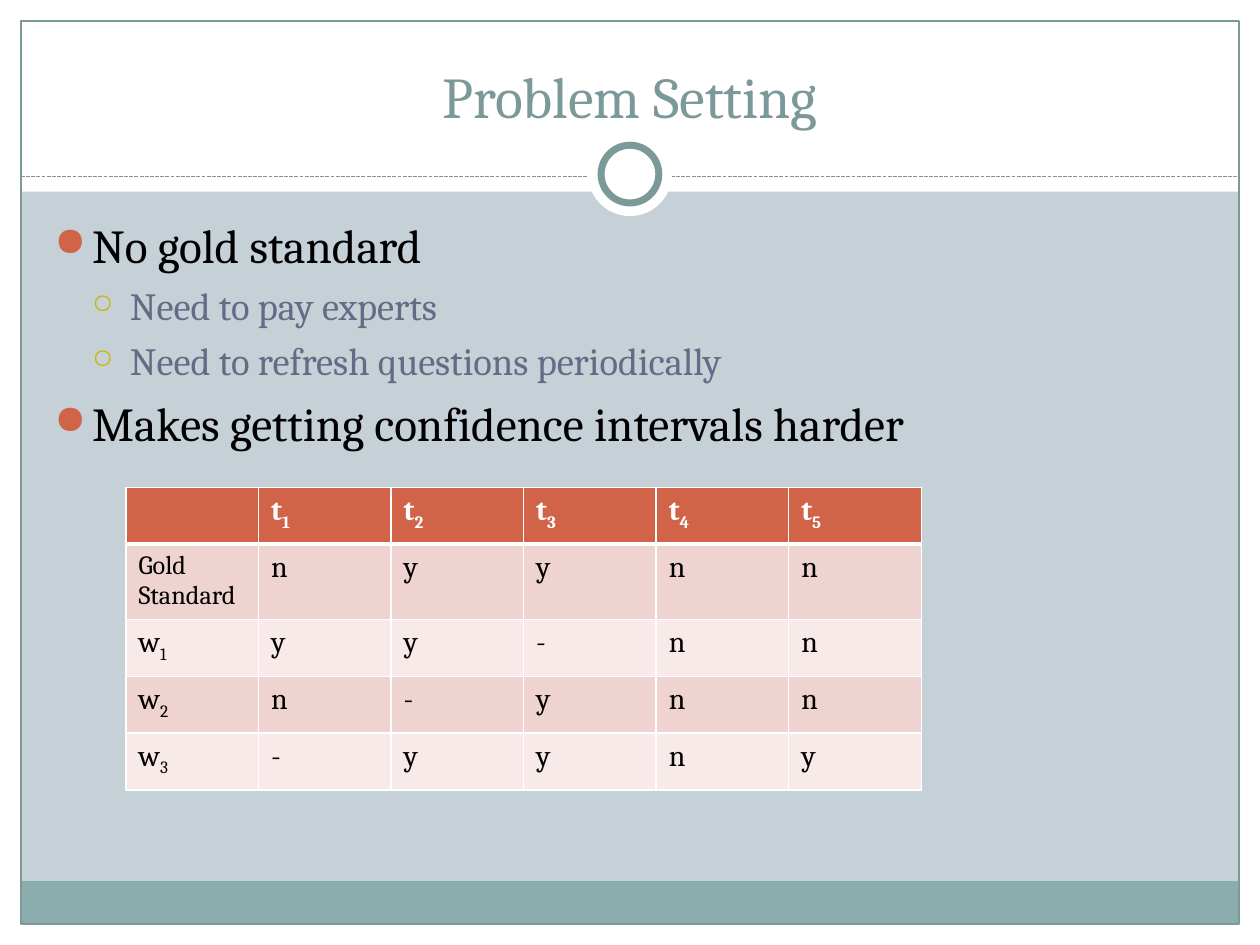
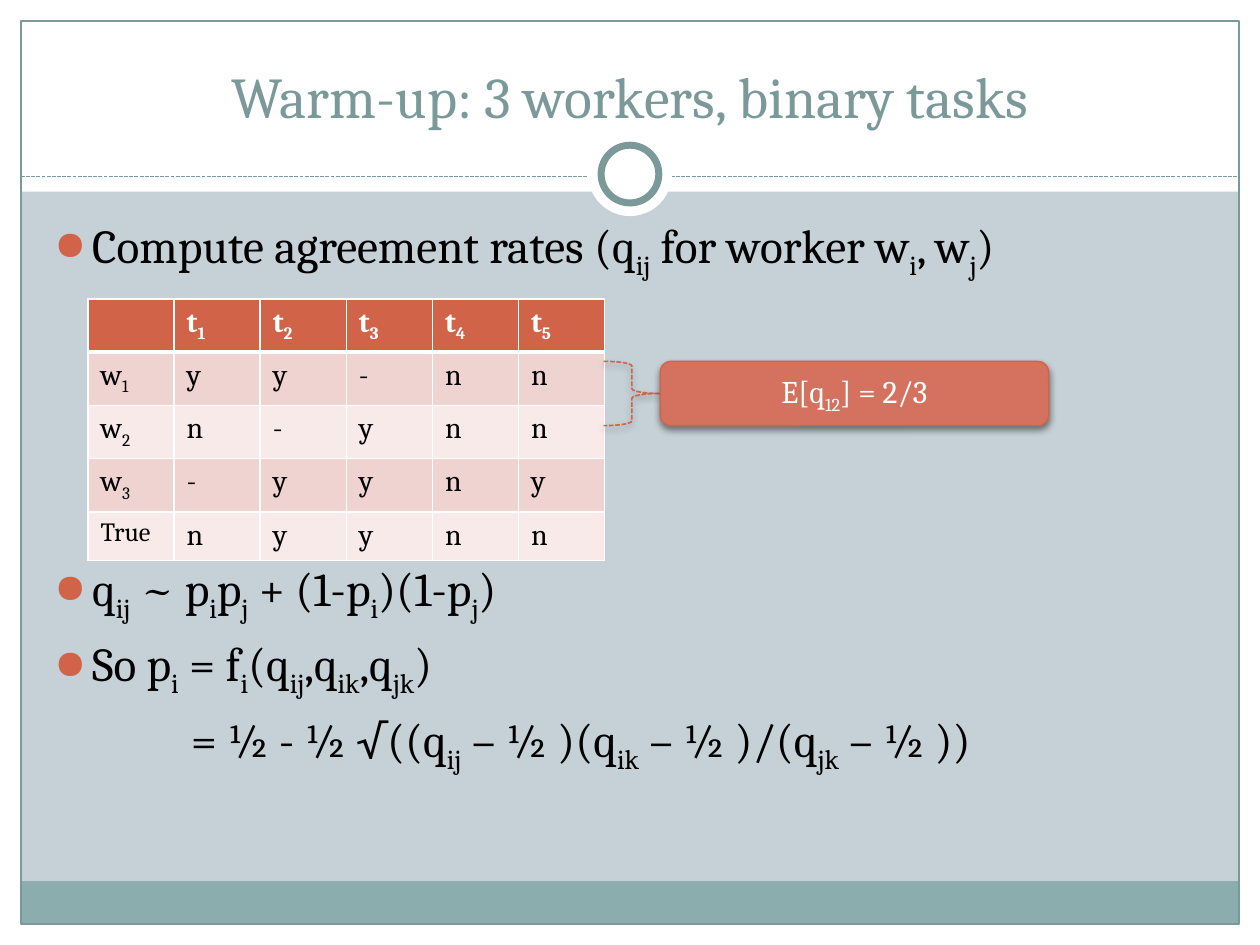
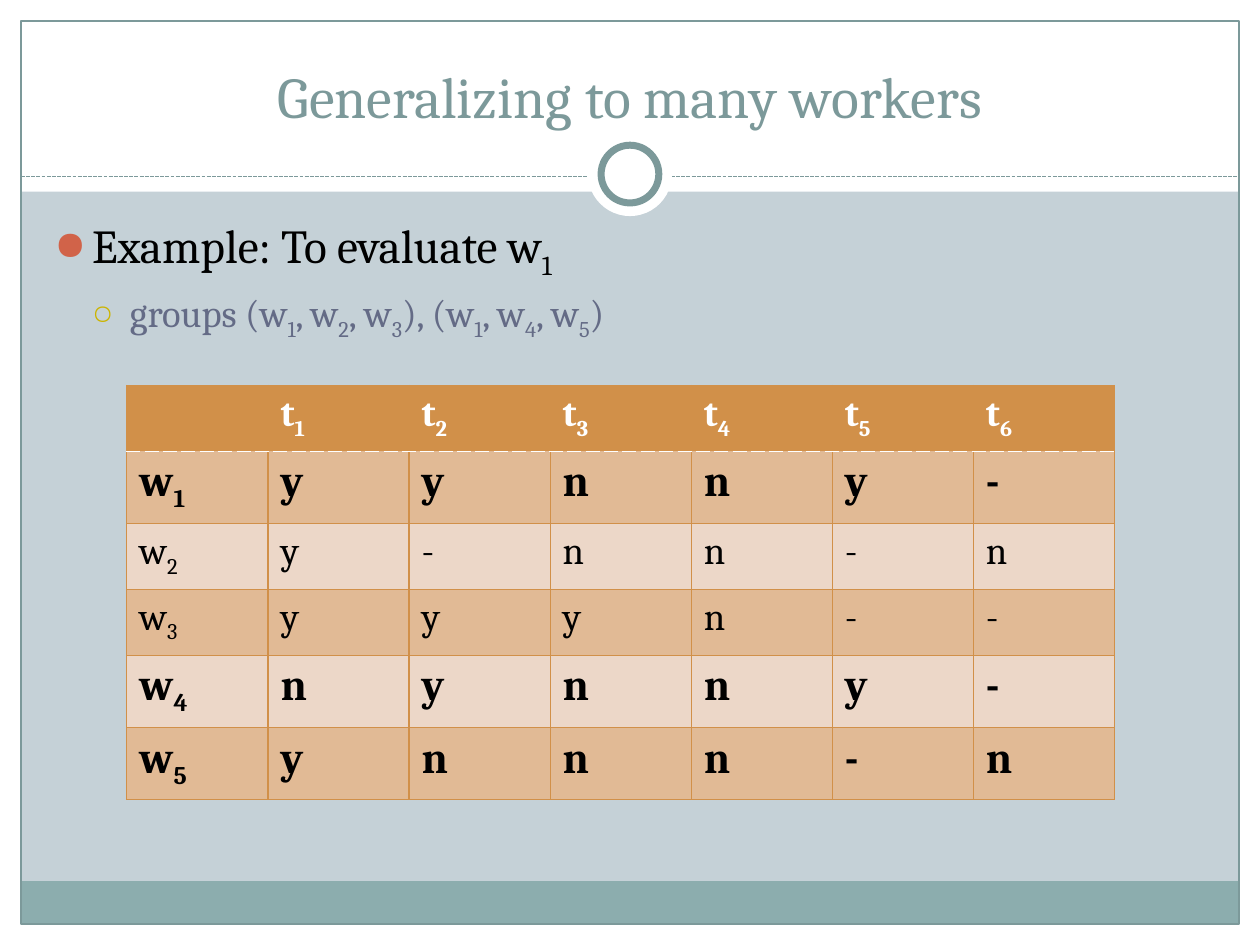
import dataclasses
import lxml.etree
import pptx
import pptx.dml.color
import pptx.enum.dml
import pptx.enum.shapes
import pptx.enum.text
import pptx.oxml.ns
import pptx.util

Pt = pptx.util.Pt
qn = pptx.oxml.ns.qn
Kind = pptx.enum.shapes.MSO_SHAPE
Align = pptx.enum.text.PP_ALIGN
Anchor = pptx.enum.text.MSO_ANCHOR
Dash = pptx.enum.dml.MSO_LINE


@dataclasses.dataclass(frozen=True)
class Theme:
    font: str = "Cambria"
    page: str = "C5D1D7"
    white: str = "FFFFFF"
    black: str = "000000"
    teal: str = "7C999A"
    band: str = "8CADAE"
    red: str = "D16349"
    call: str = "D4725F"
    slate: str = "646B86"
    gold: str = "CCB400"
    head: float = 33
    main: float = 27
    sub: float = 22
    note: float = 18
    label: float = 15


@dataclasses.dataclass(frozen=True)
class Look:
    head: str
    bands: tuple
    edge: str
    width: float
    rule: float
    dash: str
    size: float
    strong: float


THEME = Theme()
RED = Look(THEME.red, ("EED3D0", "F7EAE9"), THEME.white, 1, 3, "solid", 17, 17)
AMBER = Look("D19049", ("E1BA95", "ECD7C8"), "D19049", 0.75, 0.9, "sysDash", 22, 25)

# Bullet sign, colour, percent size, text size, text colour, indent
LEVELS = (
    ("●", THEME.red, 85, THEME.main, THEME.black, 21.6),
    ("○", THEME.gold, 70, THEME.sub, THEME.slate, 43.2),
)
HANG = 21.6
GAP = 0.23  # space before a paragraph, as a share of its type size


def rgb(code):
    return pptx.dml.color.RGBColor.from_string(code)


def node(parent, tag, **attrs):
    item = lxml.etree.SubElement(parent, qn(tag))
    for key, value in attrs.items():
        item.set(key, str(value))
    return item


# Text: parts between bars are set as subscripts
def write(para, text, size, color, bold=False):
    font = para.font
    font.name, font.size, font.bold = THEME.font, Pt(size), bold
    font.color.rgb = rgb(color)
    for i, part in enumerate(text.split("|")):
        if part:
            run = para.add_run()
            run.text = part
            if i % 2:
                run._r.get_or_add_rPr().set("baseline", "-25000")


def bullet(para, text, level=0, extra=0):
    sign, tint, scale, size, color, left = LEVELS[level]
    prop = para._p.get_or_add_pPr()
    prop.set("marL", str(Pt(left)))
    prop.set("indent", str(-Pt(HANG)))
    para.space_before = Pt(round(GAP * size + extra, 2))
    node(node(prop, "a:buClr"), "a:srgbClr", val=tint)
    node(prop, "a:buSzPct", val=scale * 1000)
    node(prop, "a:buChar", char=sign)
    write(para, text, size, color)


def body(slide):
    box = slide.shapes.add_textbox(Pt(24), Pt(120), Pt(669.6), Pt(360))
    box.text_frame.word_wrap = True
    return box.text_frame


def points(slide, items):
    frame = body(slide)
    for i, item in enumerate(items):
        bullet(frame.add_paragraph() if i else frame.paragraphs[0], *item)
    return frame


# Shapes
def shape(slide, kind, box, fill=None, line=None, width=0.75):
    item = slide.shapes.add_shape(kind, *map(Pt, box))
    item.shadow.inherit = False
    if fill:
        item.fill.solid()
        item.fill.fore_color.rgb = rgb(fill)
    else:
        item.fill.background()
    if line:
        item.line.color.rgb = rgb(line)
        item.line.width = Pt(width)
    else:
        item.line.fill.background()
    return item


def shade(item, alpha):
    list_ = item.element.spPr.find(qn("a:effectLst"))
    cast = node(list_, "a:outerShdw", blurRad=Pt(4), dist=Pt(2), dir=5400000, rotWithShape=0)
    node(node(cast, "a:srgbClr", val=THEME.black), "a:alpha", val=alpha * 1000)


# Tables
def edge(cell, side, color, width, dash="solid"):
    line = node(cell._tc.get_or_add_tcPr(), "a:ln" + side, w=Pt(width))
    node(node(line, "a:solidFill"), "a:srgbClr", val=color)
    node(line, "a:prstDash", val=dash)


def fill_cell(cell, text, row, col, look, strong):
    thin = (look.edge, look.width)
    rule = (THEME.white, look.rule, look.dash)
    for side in "LR":
        edge(cell, side, *thin)
    edge(cell, "T", *(rule if row == 1 else thin))
    edge(cell, "B", *(rule if row == 0 else thin))
    cell.fill.solid()
    cell.fill.fore_color.rgb = rgb(look.bands[(row - 1) % 2] if row else look.head)

    size = look.strong if strong else look.size
    if row and not col and "|" not in text:
        size = THEME.label
    frame = cell.text_frame
    for i, part in enumerate(text.split("\n")):
        para = frame.add_paragraph() if i else frame.paragraphs[0]
        write(para, part, size, THEME.black if row else THEME.white, strong or row == 0)


def votes(slide, left, top, width, height, rows, look, strong=()):
    tasks = len(rows[0][1])
    head = [""] + [f"t|{n}|" for n in range(1, tasks + 1)]
    grid = [head] + [[name, *marks] for name, marks in rows]
    box = map(Pt, (left, top, width, height * len(grid)))
    table = slide.shapes.add_table(len(grid), tasks + 1, *box).table
    table.first_row = table.horz_banding = False
    for col in table.columns:
        col.width = Pt(round(width / (tasks + 1), 2))
    for r, texts in enumerate(grid):
        table.rows[r].height = Pt(height)
        for c, text in enumerate(texts):
            fill_cell(table.cell(r, c), text, r, c, look, r in strong)


# Shared frame: drawn once, then moved to the layout
def dress(layout, slide):
    layout.background.fill.solid()
    layout.background.fill.fore_color.rgb = rgb(THEME.page)
    for item in list(layout.placeholders):
        if item.placeholder_format.idx:
            item.element.getparent().remove(item.element)

    margins = ((0, 528, 720, 12), (0, 0, 720, 109.5), (0, 0, 12, 540), (708, 0, 12, 540))
    parts = [shape(slide, Kind.RECTANGLE, box, THEME.white) for box in margins]
    parts.append(shape(slide, Kind.RECTANGLE, (11.75, 503.5, 696, 24.5), THEME.band))
    parts.append(shape(slide, Kind.RECTANGLE, (12, 12, 696, 516), None, THEME.teal))
    rule = slide.shapes.add_connector(
        pptx.enum.shapes.MSO_CONNECTOR.STRAIGHT, Pt(12), Pt(100.75), Pt(708), Pt(100.75))
    rule.line.color.rgb = rgb(THEME.teal)
    rule.line.width = Pt(0.75)
    rule.line.dash_style = Dash.SQUARE_DOT
    node(rule.element.spPr, "a:effectLst")
    parts.append(rule)
    parts.append(shape(slide, Kind.OVAL, (336, 75.5, 48, 48), THEME.white))
    parts.append(shape(slide, Kind.OVAL, (343.5, 83, 33, 33), THEME.white, THEME.teal, 4))
    for part in parts:
        layout.shapes.element.append(part.element)


def start(deck, text):
    slide = deck.slides.add_slide(deck.slide_layouts[5])
    title = slide.shapes.title
    title.left, title.top, title.width, title.height = map(Pt, (24, 18, 672, 60))
    title.text_frame.vertical_anchor = Anchor.BOTTOM
    para = title.text_frame.paragraphs[0]
    para.alignment = Align.CENTER
    write(para, text, THEME.head, THEME.teal)
    return slide


def setting(deck):
    slide = start(deck, "Problem Setting")
    dress(slide.slide_layout, slide)
    points(slide, [
        ("No gold standard",),
        ("Need to pay experts", 1),
        ("Need to refresh questions periodically", 1),
        ("Makes getting confidence intervals harder",),
    ])
    rows = [("Gold\nStandard", "nyynn"), ("w|1|", "yy-nn"), ("w|2|", "n-ynn"), ("w|3|", "-yyny")]
    votes(slide, 72, 278.5, 454.5, 32.4, rows, RED)


def warm_up(deck):
    slide = start(deck, "Warm-up: 3 workers, binary tasks")
    frame = points(slide, [
        ("Compute agreement rates (q|ij| for worker w|i|, w|j|)",),
        ("q|ij| ~ p|i|p|j| + (1-p|i|)(1-p|j|)", 0, 153),  # leaves room for the table
        ("So p|i| = f|i|(q|ij|,q|ik|,q|jk|)",),
    ])
    para = frame.add_paragraph()
    para._p.get_or_add_pPr().set("marL", str(Pt(78)))
    para.space_before = Pt(round(GAP * THEME.main, 2))
    write(para, "= ½ - ½ √((q|ij| – ½ )(q|ik| – ½ )/(q|jk| – ½ ))", THEME.main, THEME.black)

    rows = [("w|1|", "yy-nn"), ("w|2|", "n-ynn"), ("w|3|", "-yyny"), ("True", "nyynn")]
    votes(slide, 50.25, 170.75, 295.25, 26.65, rows, RED)

    # Callout for the first two workers
    brace = shape(slide, Kind.RIGHT_BRACE, (345, 206.5, 32.25, 36.75), None, THEME.red, 0.9)
    brace.line.dash_style = Dash.SQUARE_DOT
    shade(brace, 35)
    call = shape(slide, Kind.ROUNDED_RECTANGLE, (377.25, 206.5, 222, 36.75), THEME.call, THEME.red)
    shade(call, 45)
    call.text_frame.vertical_anchor = Anchor.MIDDLE
    para = call.text_frame.paragraphs[0]
    para.alignment = Align.CENTER
    write(para, "E[q|12|] = 2/3", THEME.note, THEME.white)


def many(deck):
    slide = start(deck, "Generalizing to many workers")
    points(slide, [
        ("Example: To evaluate w|1|",),
        ("groups (w|1|, w|2|, w|3|), (w|1|, w|4|, w|5|)", 1),
    ])
    marks = ("yynny-", "y-nn-n", "yyyn--", "nynny-", "ynnn-n")
    rows = [(f"w|{n}|", line) for n, line in enumerate(marks, 1)]
    votes(slide, 72.5, 220.25, 564.5, 37.6, rows, AMBER, strong=(1, 4, 5))


def main():
    deck = pptx.Presentation()
    deck.slide_width, deck.slide_height = Pt(720), Pt(540)
    setting(deck)
    warm_up(deck)
    many(deck)
    deck.save("out.pptx")


if __name__ == "__main__":
    main()
